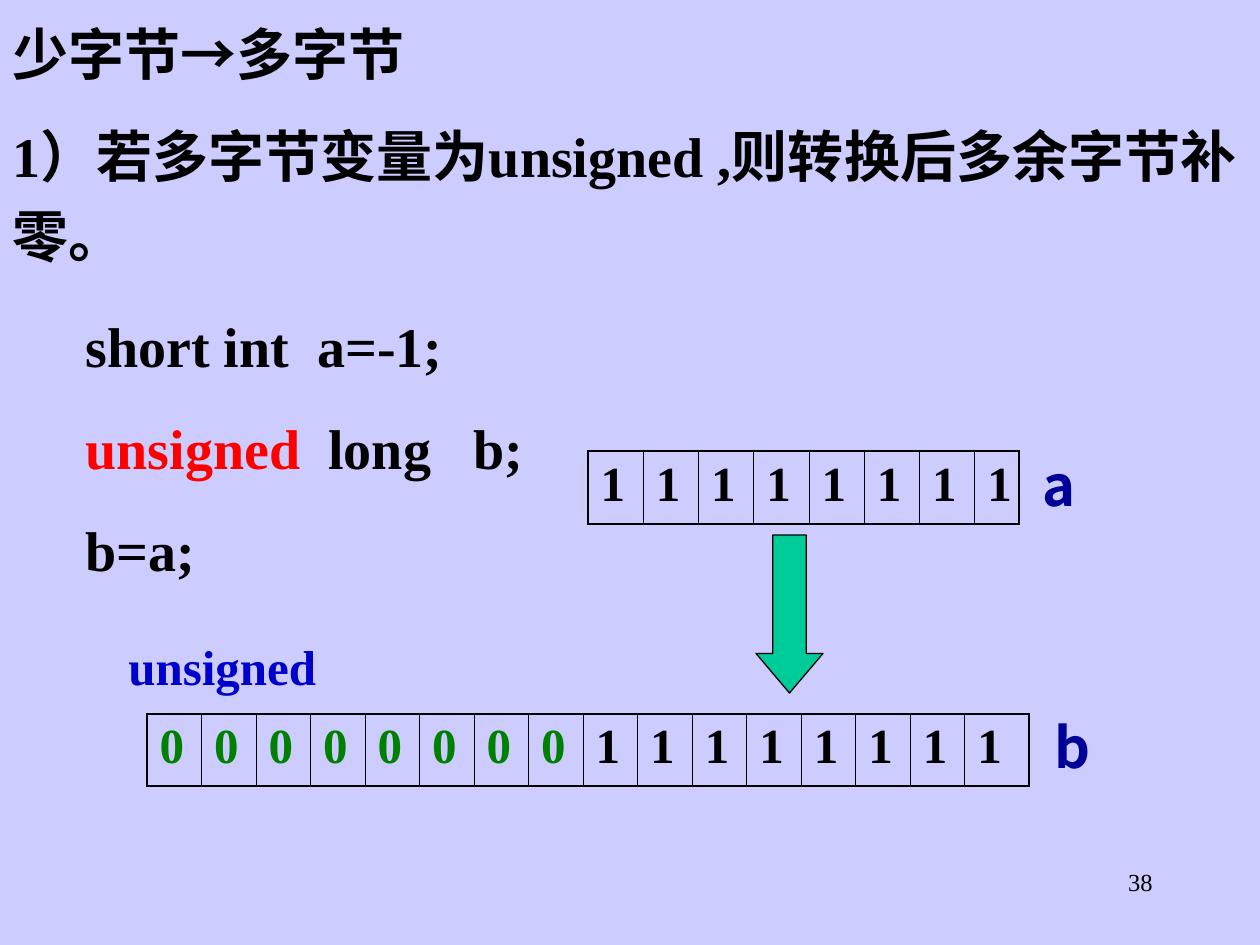
from pptx import Presentation
from pptx.dml.color import RGBColor
from pptx.enum.shapes import MSO_SHAPE
from pptx.enum.text import PP_ALIGN
from pptx.oxml.ns import qn
from pptx.util import Emu, Pt
from lxml.etree import SubElement

PX = 914400 / 126
LATIN, CJK = "Times New Roman", "Noto Sans CJK SC"
BLACK, RED, GREEN = "000000", "FF0000", "008000"
THICK, THIN = 1.08, 0.45


def px(*lengths):
    return [Emu(round(length * PX)) for length in lengths]


def rgb(value):
    return RGBColor.from_string(value)


def add_run(paragraph, text, size, color=BLACK, bold=True, name=LATIN):
    run = paragraph.add_run()
    run.text = text
    font_format = {"size": Pt(size), "bold": bold, "name": name}
    for attribute, value in font_format.items():
        setattr(run.font, attribute, value)
    run.font.color.rgb = rgb(color)
    SubElement(run.font._element, qn("a:ea"), typeface=CJK)


def add_text(slide, box, paragraphs, size, space=0, line=1.0,
             align=PP_ALIGN.LEFT, **run_format):
    """Each paragraph is a list of (text, extra run format) pairs."""
    frame = slide.shapes.add_textbox(*px(*box)).text_frame
    frame.word_wrap = True
    for index, runs in enumerate(paragraphs):
        paragraph = frame.add_paragraph() if index else frame.paragraphs[0]
        paragraph_format = {"alignment": align, "line_spacing": line}
        if index:
            paragraph_format["space_before"] = Pt(space)
        for attribute, value in paragraph_format.items():
            setattr(paragraph, attribute, value)
        for text, extra in runs:
            add_run(paragraph, text, size, **{**run_format, **extra})


def set_borders(cell, widths):
    properties = cell._tc.get_or_add_tcPr()
    for side, width in widths.items():
        border = SubElement(properties, qn(f"a:ln{side}"), w=str(Pt(width)))
        fill = SubElement(border, qn("a:solidFill"))
        SubElement(fill, qn("a:srgbClr"), val=BLACK)


def add_bits(slide, box, bits, last_width):
    """One row of bits: equal cells, then a last cell of its own width."""
    table = slide.shapes.add_table(1, len(bits), *px(*box)).table
    table.first_row = table.horz_banding = False
    last = len(bits) - 1
    bit_width = (box[2] - last_width) / last
    for index, bit in enumerate(bits):
        width = last_width if index == last else bit_width
        table.columns[index].width = px(width)[0]
        cell = table.cell(0, index)
        set_borders(cell, {"L": THIN if index else THICK,
                           "R": THICK if index == last else THIN,
                           "T": THICK, "B": THICK})
        cell.fill.background()
        add_run(cell.text_frame.paragraphs[0], bit, 28,
                GREEN if bit == "0" else BLACK)


def add_down_arrow(slide, box):
    arrow = slide.shapes.add_shape(MSO_SHAPE.DOWN_ARROW, *px(*box))
    arrow.shadow.inherit = False
    arrow.adjustments[1] = 0.59
    arrow.fill.solid()
    arrow.fill.fore_color.rgb = rgb("00CC99")
    arrow.line.color.rgb = rgb(BLACK)
    arrow.line.width = Pt(0.75)


def main():
    deck = Presentation()
    deck.slide_width, deck.slide_height = px(1260, 945)
    slide = deck.slides.add_slide(deck.slide_layouts[6])
    slide.background.fill.solid()
    slide.background.fill.fore_color.rgb = rgb("CCCCFF")

    # Page number
    add_text(slide, (903, 861, 262, 63), [[("38", {})]], 14,
             align=PP_ALIGN.RIGHT, bold=False)

    # Rule for widening an unsigned value
    add_text(slide, (0, 0, 1260, 276), [
        [("少字节", {}), ("→", {"name": "Arial"}), ("多字节", {})],
        [("1）若多字节变量为unsigned ,则转换后多余字节补零。", {})],
    ], 32, space=12, line=1.2)

    # Bits of b and a, with the conversion arrow
    add_bits(slide, (147, 714, 882, 72), "0" * 8 + "1" * 8, 64)
    add_bits(slide, (588, 451, 431, 73), "1" * 8, 44)
    add_down_arrow(slide, (756, 535, 67, 158))
    add_text(slide, (116, 630, 420, 72), [[("unsigned", {})]], 28,
             color="0000CC")

    # Code example
    add_text(slide, (73, 305, 472, 285), [
        [("short int  a=-1;", {})],
        [("unsigned", {"color": RED}), ("  long   b;", {})],
        [("b=a;", {})],
    ], 32, space=20)

    # Variable names
    for name, left, top in (("a", 1030, 431), ("b", 1042, 693)):
        add_text(slide, (left, top, 53, 93), [[(name, {})]], 32, line=1.2,
                 align=PP_ALIGN.CENTER, color="000099", name=CJK)

    deck.save("out.pptx")


if __name__ == "__main__":
    main()
